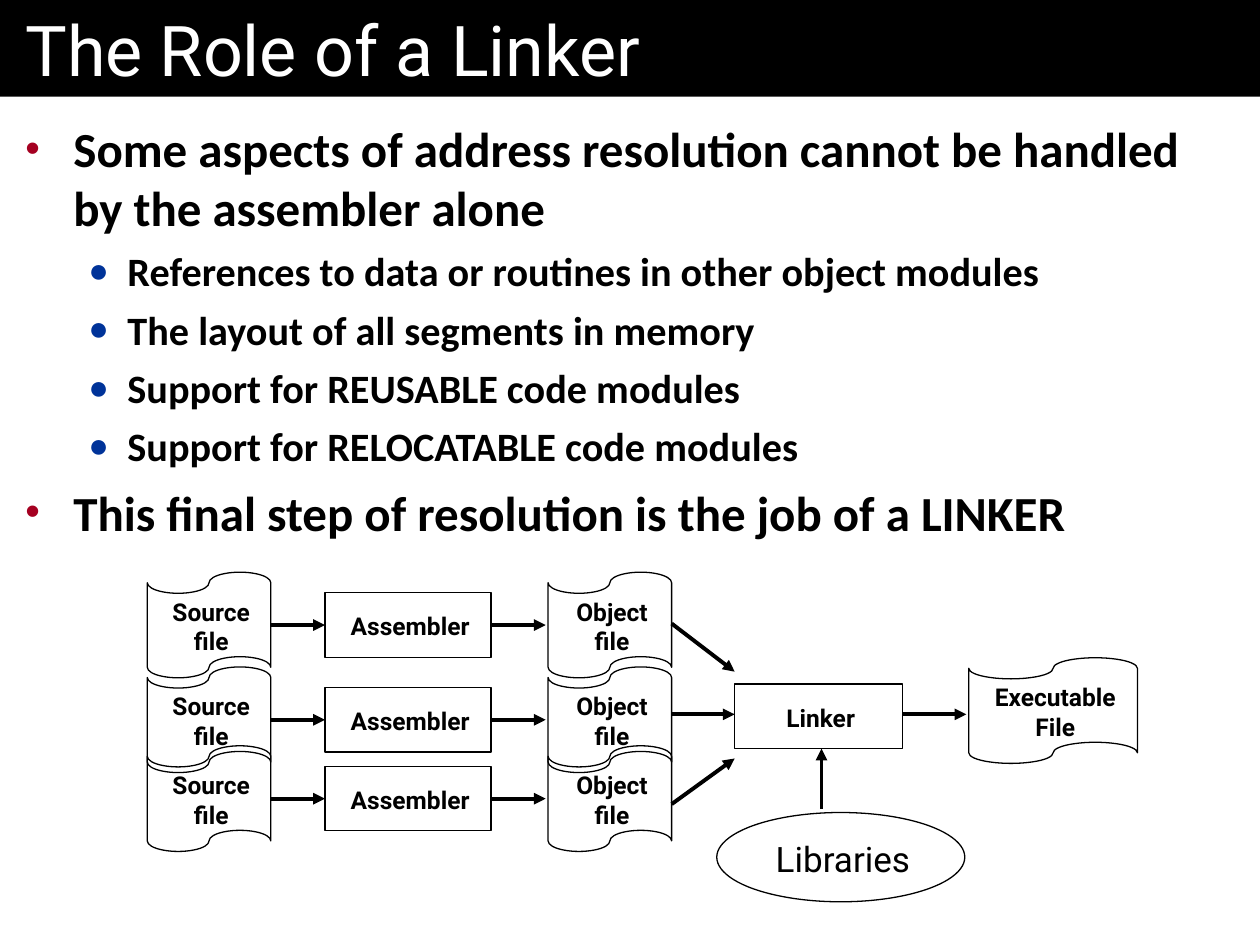
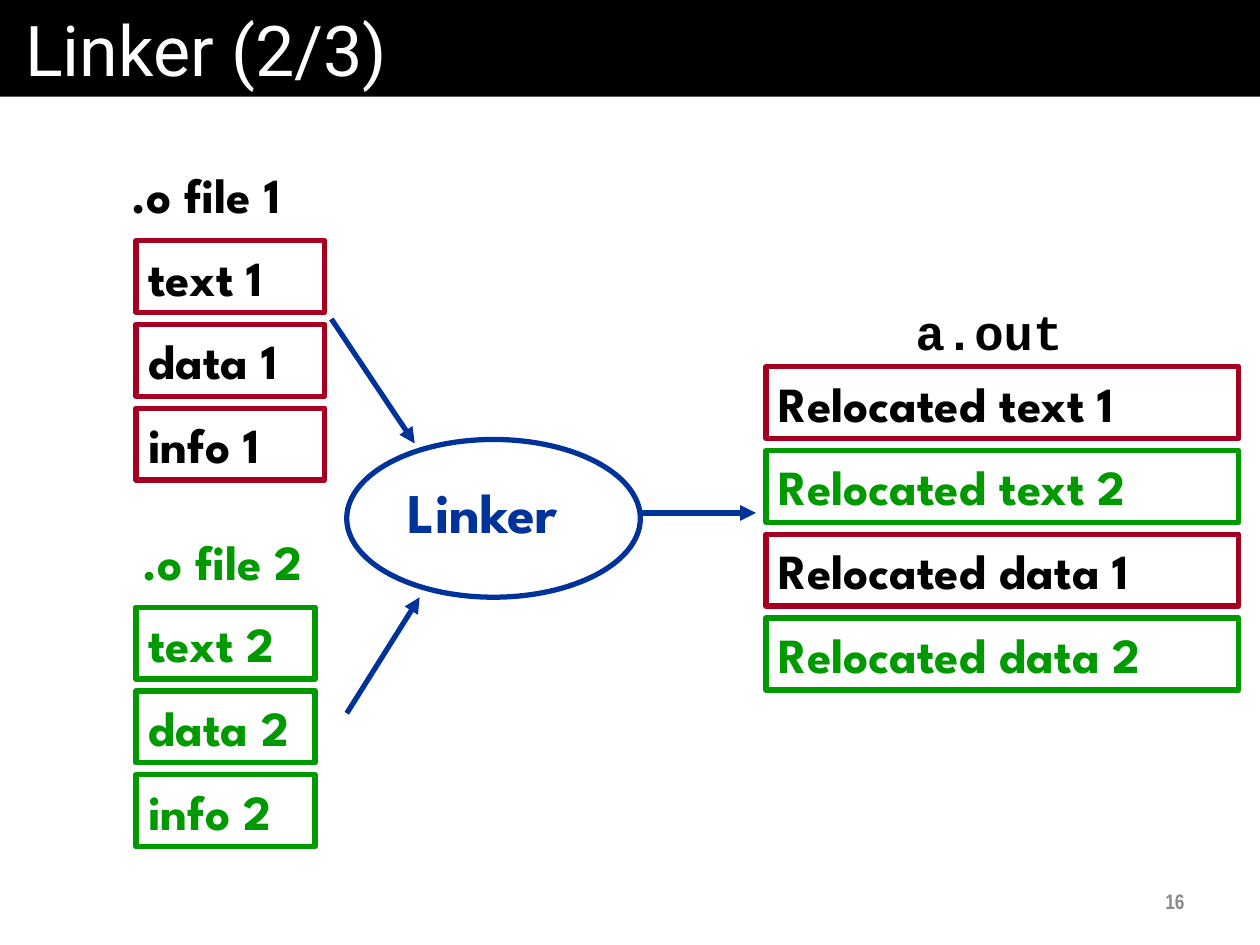
from lxml.etree import SubElement
from pptx import Presentation
from pptx.dml.color import RGBColor
from pptx.enum.shapes import MSO_CONNECTOR, MSO_SHAPE
from pptx.enum.text import MSO_ANCHOR, MSO_AUTO_SIZE, PP_ALIGN
from pptx.oxml.ns import qn
from pptx.util import Cm, Pt

BLACK = RGBColor(0x00, 0x00, 0x00)
WHITE = RGBColor(0xFF, 0xFF, 0xFF)
RED = RGBColor(0xA5, 0x00, 0x21)
GREEN = RGBColor(0x00, 0x99, 0x00)
BLUE = RGBColor(0x00, 0x33, 0x99)
GREY = RGBColor(0x89, 0x89, 0x89)

TITLE_FONT, BODY_FONT, DIAGRAM_FONT = "Roboto", "Calibri", "League Spartan"
CODE_FONT, NUMBER_FONT = "Courier New", "Arial Narrow"

# Content: slide 1 (all lengths in centimetres)
ROLE_POINTS = [
    (0, "Some aspects of address resolution cannot be handled by the assembler alone"),
    (1, "References to data or routines in other object modules"),
    (1, "The layout of all segments in memory"),
    (1, "Support for REUSABLE code modules"),
    (1, "Support for RELOCATABLE code modules"),
    (0, "This final step of resolution is the job of a LINKER"),
]
# level: bullet, colour, text size, space before, left margin, hanging indent
LEVELS = {
    0: ("•", RED, 28, 7, 0.97, 0.97),
    1: ("●", BLUE, 23, 5.8, 2.06, 0.79),
}
TAPE, BOX, OVAL = MSO_SHAPE.FLOWCHART_PUNCHED_TAPE, MSO_SHAPE.RECTANGLE, MSO_SHAPE.OVAL
ROW_MIDDLES = [12.6, 14.51, 16.1]
ROW_STEPS = [  # shape, text, left, width, height
    (TAPE, "Source\nfile", 2.97, 2.49, 2.13),
    (BOX, "Assembler", 6.55, 3.35, 1.3),
    (TAPE, "Object\nfile", 11.05, 2.49, 2.13),
]
LINK_STEPS = [  # shape, text, text size, bold, place
    (BOX, "Linker", 14, True, (14.81, 13.79, 3.38, 1.3)),
    (TAPE, "Executable\nFile", 14, True, (19.53, 13.26, 3.4, 2.13)),
    (OVAL, "Libraries", 20, False, (14.45, 16.38, 5, 1.8)),
]
LINK_ARROWS = [
    (13.54, 14.4, 14.81, 14.4),
    (18.21, 14.4, 19.48, 14.4),
    (13.54, 12.57, 14.81, 13.54),
    (13.54, 16.21, 14.81, 15.29),
    (16.56, 16.31, 16.56, 15.09),
]

# Content: slide 2
FILE_1, FILE_2 = (RED, BLACK), (GREEN, GREEN)  # outline, text
SEGMENT_HEIGHT, SEGMENT_PITCH = 1.45, 1.69
STACKS = [  # left, top, width, segments
    (2.74, 4.85, 3.81, [("text 1", FILE_1), ("data 1", FILE_1), ("info 1", FILE_1)]),
    (2.74, 12.24, 3.61, [("text 2", FILE_2), ("data 2", FILE_2), ("info 2", FILE_2)]),
    (15.44, 7.39, 9.53, [("Relocated text 1", FILE_1), ("Relocated text 2", FILE_2),
                         ("Relocated data 1", FILE_1), ("Relocated data 2", FILE_2)]),
]
STACK_LABELS = [
    (".o file 1", (2.41, 3.18, 4.04, 1.45), DIAGRAM_FONT, BLACK),
    (".o file 2", (2.62, 10.59, 4.04, 1.45), DIAGRAM_FONT, GREEN),
    ("a.out", (18.21, 5.94, 3.45, 1.45), CODE_FONT, BLACK),
]
LINKER_ARROWS = [
    (6.68, 6.43, 8.36, 8.94),
    (6.99, 14.38, 8.46, 12.04),
    (12.9, 10.34, 15.24, 10.34),
]


def lengths(values):
    return [Cm(value) for value in values]


def set_insets(frame, left, top, right, bottom):
    frame.margin_left, frame.margin_top = Cm(left), Cm(top)
    frame.margin_right, frame.margin_bottom = Cm(right), Cm(bottom)


def add_span(para, text, font, size, color, bold=False):
    for number, line in enumerate(text.split("\n")):
        if number:
            para.add_line_break()
        span = para.add_run()
        span.text = line
        span.font.name, span.font.size, span.font.bold = font, Pt(size), bold
        span.font.color.rgb = color


def write(shape, text, font, size, color, bold=True, align=PP_ALIGN.LEFT,
          anchor=MSO_ANCHOR.TOP, insets=(0.25, 0.13, 0.25, 0.13), wrap=True):
    frame = shape.text_frame
    frame.auto_size = MSO_AUTO_SIZE.NONE
    frame.word_wrap, frame.vertical_anchor = wrap, anchor
    set_insets(frame, *insets)
    para = frame.paragraphs[0]
    para.alignment = align
    add_span(para, text, font, size, color, bold)


def add_outline(page, kind, place, color, width):
    shape = page.shapes.add_shape(kind, *lengths(place))
    shape.shadow.inherit = False
    shape.fill.background()
    shape.line.color.rgb, shape.line.width = color, Pt(width)
    return shape


def add_step(page, kind, text, place, size=14, bold=True):
    shape = add_outline(page, kind, place, BLACK, 0.75)
    write(shape, text, TITLE_FONT, size, BLACK, bold, PP_ALIGN.CENTER,
          MSO_ANCHOR.MIDDLE, (0.09, 0.04, 0, 0), wrap=False)


def add_arrow(page, ends, color, width):
    arrow = page.shapes.add_connector(MSO_CONNECTOR.STRAIGHT, *lengths(ends))
    arrow.line.color.rgb, arrow.line.width = color, Pt(width)
    SubElement(arrow.line._get_or_add_ln(), qn("a:tailEnd"), type="triangle")
    SubElement(arrow._element.spPr, qn("a:effectLst"))


def place_shape(shape, place):
    shape.left, shape.top, shape.width, shape.height = lengths(place)


def add_page(deck, layout, title):
    page = deck.slides.add_slide(deck.slide_layouts.get_by_name(layout))
    band = page.shapes.title
    place_shape(band, (0, 0, 25.4, 1.95))
    band.fill.solid()
    band.fill.fore_color.rgb = BLACK
    write(band, title, TITLE_FONT, 40, WHITE, bold=False,
          anchor=MSO_ANCHOR.MIDDLE, insets=(0.51, 0.13, 0.51, 0.13))
    return page


def format_bullet(para, char, color, margin, hanging):
    props = para._p.get_or_add_pPr()
    props.set("marL", str(Cm(margin)))
    props.set("indent", str(-Cm(hanging)))
    SubElement(SubElement(props, qn("a:buClr")), qn("a:srgbClr"), val=str(color))
    SubElement(props, qn("a:buSzPct"), val="85000")
    SubElement(props, qn("a:buFont"), typeface="Arial")
    SubElement(props, qn("a:buChar"), char=char)


def fill_body(body, points):
    place_shape(body, (0, 2.01, 25.4, 17.04))
    frame = body.text_frame
    frame.auto_size = MSO_AUTO_SIZE.NONE
    set_insets(frame, 0.51, 0.38, 0.51, 0.38)
    for number, (level, text) in enumerate(points):
        char, color, size, space, margin, hanging = LEVELS[level]
        para = frame.add_paragraph() if number else frame.paragraphs[0]
        para.level = level
        format_bullet(para, char, color, margin, hanging)
        para.space_before = Pt(space if number else 0)
        add_span(para, text, BODY_FONT, size, BLACK, bold=True)


def build_role(deck):
    page = add_page(deck, "Title and Content", "The Role of a Linker")
    fill_body(page.placeholders[1], ROLE_POINTS)

    # One source-to-object row per file
    for middle in ROW_MIDDLES:
        for kind, text, left, width, height in ROW_STEPS:
            add_step(page, kind, text, (left, middle - height / 2, width, height))
        for start, end in ((5.46, 6.55), (9.91, 11)):
            add_arrow(page, (start, middle, end, middle), BLACK, 2.25)

    # Linking stage
    for kind, text, size, bold, place in LINK_STEPS:
        add_step(page, kind, text, place, size, bold)
    for ends in LINK_ARROWS:
        add_arrow(page, ends, BLACK, 2.25)


def build_linker(deck):
    page = add_page(deck, "Title Only", "Linker (2/3)")

    # Segment stacks and their labels
    for left, top, width, segments in STACKS:
        for number, (text, (outline, color)) in enumerate(segments):
            place = (left, top + number * SEGMENT_PITCH, width, SEGMENT_HEIGHT)
            segment = add_outline(page, BOX, place, outline, 3)
            write(segment, text, DIAGRAM_FONT, 28, color)
    for text, place, font, color in STACK_LABELS:
        label = page.shapes.add_textbox(*lengths(place))
        write(label, text, font, 28, color, wrap=False)

    # Linker and its arrows
    linker = add_outline(page, OVAL, (6.99, 8.86, 5.92, 3.18), BLUE, 3)
    write(linker, "Linker", DIAGRAM_FONT, 32, BLUE, align=PP_ALIGN.CENTER,
          anchor=MSO_ANCHOR.MIDDLE, insets=(0, 0, 0.43, 0.28))
    for ends in LINKER_ARROWS:
        add_arrow(page, ends, BLUE, 3)

    # Page number
    number_box = page.shapes.add_textbox(*lengths((18.21, 17.65, 5.92, 1.02)))
    write(number_box, "16", NUMBER_FONT, 12, GREY, align=PP_ALIGN.RIGHT,
          anchor=MSO_ANCHOR.MIDDLE)


def main():
    deck = Presentation()
    deck.slide_width, deck.slide_height = Cm(25.4), Cm(19.05)
    build_role(deck)
    build_linker(deck)
    deck.save("out.pptx")


if __name__ == "__main__":
    main()
